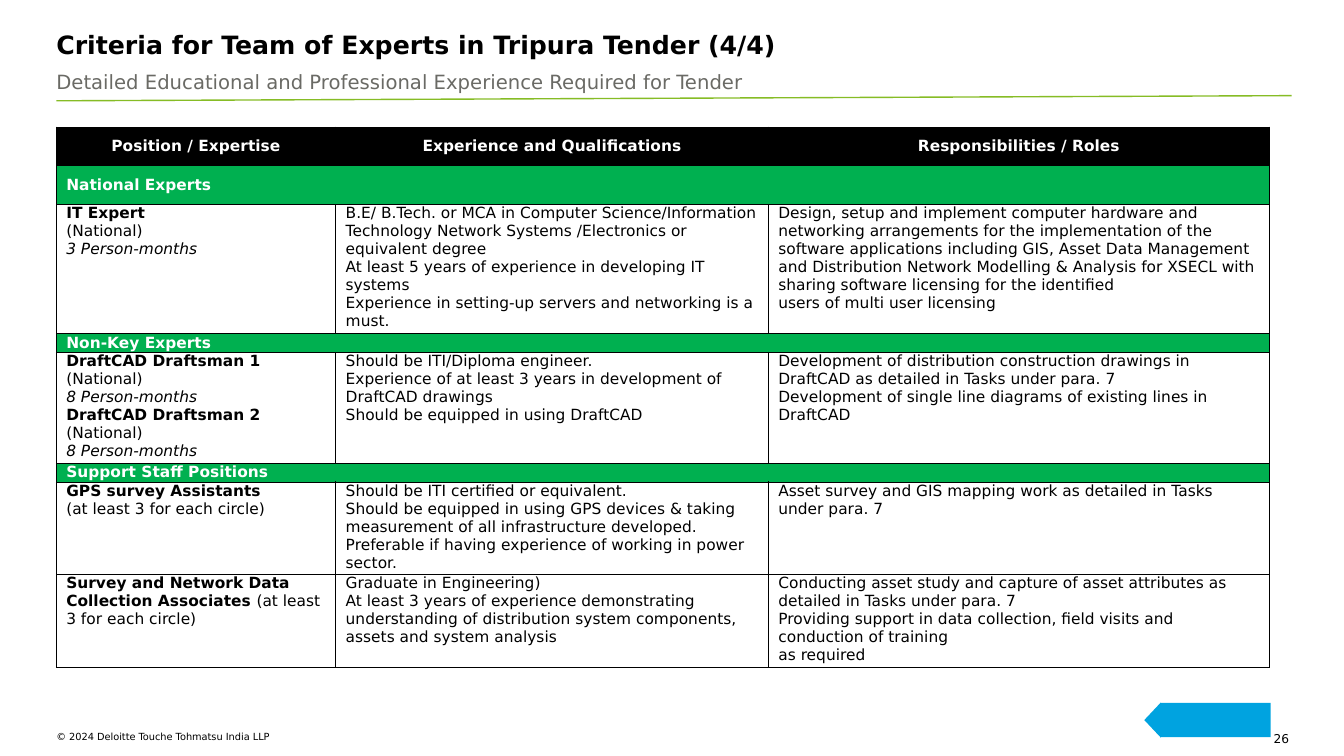
"""Build the slide on criteria for the team of experts."""
import pptx
import pptx.dml.color
import pptx.enum.shapes
import pptx.enum.text
import pptx.oxml
import pptx.oxml.ns
import pptx.util

Cm = pptx.util.Cm
Pt = pptx.util.Pt
RGBColor = pptx.dml.color.RGBColor
ALIGN = pptx.enum.text.PP_ALIGN
ANCHOR = pptx.enum.text.MSO_ANCHOR

FONT = "DejaVu Sans"
BLACK = RGBColor(0x00, 0x00, 0x00)
WHITE = RGBColor(0xFF, 0xFF, 0xFF)
GREY = RGBColor(0x6A, 0x6A, 0x65)
GREEN = RGBColor(0x00, 0xB0, 0x50)
LIME = RGBColor(0x86, 0xBC, 0x25)
BLUE = RGBColor(0x00, 0xA3, 0xE0)

WIDTHS = (7.04, 10.9, 12.62)
HEIGHTS = (0.95, 0.98, 3.16, 0.45, 2.72, 0.45, 2.26, 2.26)
HEADS = ("Position / Expertise", "Experience and Qualifications",
         "Responsibilities / Roles")
ROWS = (
    "National Experts",
    ([("IT Expert\n", "b"), ("(National)\n", ""), ("3 Person-months", "i")],
     "B.E/ B.Tech. or MCA in Computer Science/Information Technology Network "
     "Systems /Electronics or equivalent degree\n"
     "At least 5 years of experience in developing IT systems\n"
     "Experience in setting-up servers and networking is a must.",
     "Design, setup and implement computer hardware and networking "
     "arrangements for the implementation of the software applications "
     "including GIS, Asset Data Management and Distribution Network Modelling "
     "& Analysis for XSECL with sharing software licensing for the identified\n"
     "users of multi user licensing"),
    "Non-Key Experts",
    ([("DraftCAD Draftsman 1\n", "b"), ("(National)\n", ""),
      ("8 Person-months\n", "i"), ("DraftCAD Draftsman 2\n", "b"),
      ("(National)\n", ""), ("8 Person-months", "i")],
     "Should be ITI/Diploma engineer.\n"
     "Experience of at least 3 years in development of DraftCAD drawings\n"
     "Should be equipped in using DraftCAD",
     "Development of distribution construction drawings in DraftCAD as "
     "detailed in Tasks under para. 7\n"
     "Development of single line diagrams of existing lines in DraftCAD"),
    "Support Staff Positions",
    ([("GPS survey Assistants\n", "b"), ("(at least 3 for each circle)", "")],
     "Should be ITI certified or equivalent.\n"
     "Should be equipped in using GPS devices & taking measurement of all "
     "infrastructure developed.\n"
     "Preferable if having experience of working in power sector.",
     "Asset survey and GIS mapping work as detailed in Tasks under para. 7"),
    ([("Survey and Network Data Collection Associates ", "b"),
      ("(at least 3 for each circle)", "")],
     "Graduate in Engineering)\n"
     "At least 3 years of experience demonstrating understanding of "
     "distribution system components, assets and system analysis",
     "Conducting asset study and capture of asset attributes as detailed in "
     "Tasks under para. 7\n"
     "Providing support in data collection, field visits and conduction of "
     "training\nas required"),
)


def write(frame, text, size=11, color=BLACK, style="", align=ALIGN.LEFT):
    """Write a string, or a list of (text, style) parts, into a frame."""
    para = frame.paragraphs[0]
    para.alignment = align
    parts = [(text, style)] if isinstance(text, str) else text
    for words, look in parts:
        for count, line in enumerate(words.split("\n")):
            if count:
                para.add_line_break()
            if not line:
                continue
            run = para.add_run()
            run.text = line
            font = run.font
            font.name, font.size = FONT, Pt(size)
            font.bold, font.italic = look == "b", look == "i"
            font.color.rgb = color


def add_text(slide, place, text, pad=0, **form):
    """Add a wrapped text box."""
    frame = slide.shapes.add_textbox(*map(Cm, place)).text_frame
    frame.word_wrap = True
    frame.margin_left = frame.margin_right = 0
    frame.margin_top = frame.margin_bottom = Cm(pad)
    write(frame, text, **form)


def add_rule(slide, ends):
    """Add the line under the title."""
    rule = slide.shapes.add_connector(
        pptx.enum.shapes.MSO_CONNECTOR.STRAIGHT, *map(Cm, ends))
    rule.line.color.rgb = LIME
    rule.line.width = Pt(1)
    rule._element.spPr.append(pptx.oxml.parse_xml(
        f"<a:effectLst {pptx.oxml.ns.nsdecls('a')}/>"))


def add_arrow(slide, place):
    """Add the blue arrow that points left."""
    arrow = slide.shapes.add_shape(
        pptx.enum.shapes.MSO_SHAPE.LEFT_ARROW, *map(Cm, place))
    arrow.adjustments[0] = 0.97
    arrow.adjustments[1] = 0.47
    arrow.shadow.inherit = False
    arrow.fill.solid()
    arrow.fill.fore_color.rgb = BLUE
    arrow.line.fill.background()


def dress(cell, fill=None, pad=0):
    """Set the borders, margins and fill of a cell."""
    props = cell._tc.get_or_add_tcPr()
    for side in "LRTB":
        props.append(pptx.oxml.parse_xml(
            f'<a:ln{side} {pptx.oxml.ns.nsdecls("a")} w="{Pt(0.5)}">'
            f'<a:solidFill><a:srgbClr val="{BLACK}"/></a:solidFill>'
            f"</a:ln{side}>"))
    cell.margin_left = cell.margin_right = Cm(0.25)
    cell.margin_top = cell.margin_bottom = Cm(pad)
    if fill is None:
        cell.fill.background()
    else:
        cell.fill.solid()
        cell.fill.fore_color.rgb = fill


def add_grid(slide, left, top):
    """Add the table of experts."""
    grid = slide.shapes.add_table(
        len(HEIGHTS), len(WIDTHS), Cm(left), Cm(top),
        Cm(sum(WIDTHS)), Cm(sum(HEIGHTS))).table
    grid.first_row = grid.horz_banding = False
    for col, width in zip(grid.columns, WIDTHS):
        col.width = Cm(width)
    for row, height in zip(grid.rows, HEIGHTS):
        row.height = Cm(height)
    for cell, head in zip(grid.rows[0].cells, HEADS):
        dress(cell, BLACK, 0.25)
        write(cell.text_frame, head, color=WHITE, style="b",
              align=ALIGN.CENTER)
    for index, texts in enumerate(ROWS, 1):
        cells = list(grid.rows[index].cells)
        band = isinstance(texts, str)
        for cell in cells:
            dress(cell, GREEN if band else None, 0.25 if index == 1 else 0)
        if band:
            cells[0].merge(cells[-1])
            cells[0].vertical_anchor = ANCHOR.MIDDLE
            write(cells[0].text_frame, texts, color=WHITE, style="b")
        else:
            for cell, text in zip(cells, texts):
                write(cell.text_frame, text)


def main():
    """Build and save the slide."""
    deck = pptx.Presentation()
    deck.slide_width, deck.slide_height = Cm(33.86), Cm(19.05)
    slide = deck.slides.add_slide(deck.slide_layouts[6])
    add_text(slide, (1.42, 18.42, 14.88, 0.56),
             "© 2024 Deloitte Touche Tohmatsu India LLP", size=7)
    add_text(slide, (31.62, 18.42, 0.86, 0.28), "26", size=8.7,
             align=ALIGN.RIGHT)
    add_text(slide, (1.42, 1.63, 32.05, 0.79),
             "Detailed Educational and Professional Experience Required "
             "for Tender", pad=0.13, size=14, color=GREY)
    add_text(slide, (1.42, 0.74, 31.34, 1.17),
             "Criteria for Team of Experts in Tripura Tender (4/4)",
             size=18, style="b")
    add_rule(slide, (1.42, 2.54, 32.54, 2.41))
    add_arrow(slide, (28.83, 17.7, 3.18, 0.89))
    add_grid(slide, 1.42, 3.2)
    deck.save("out.pptx")


if __name__ == "__main__":
    main()
